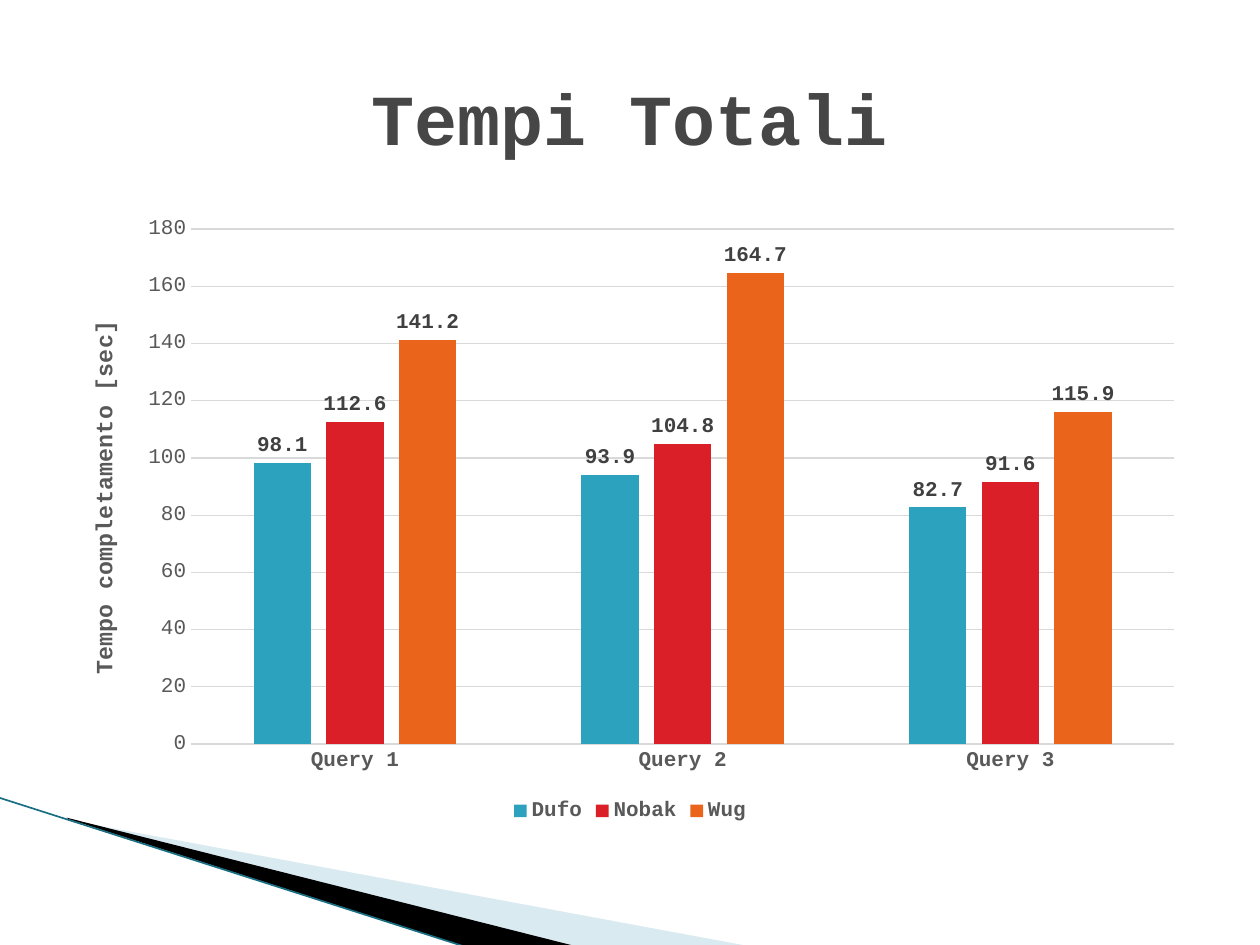
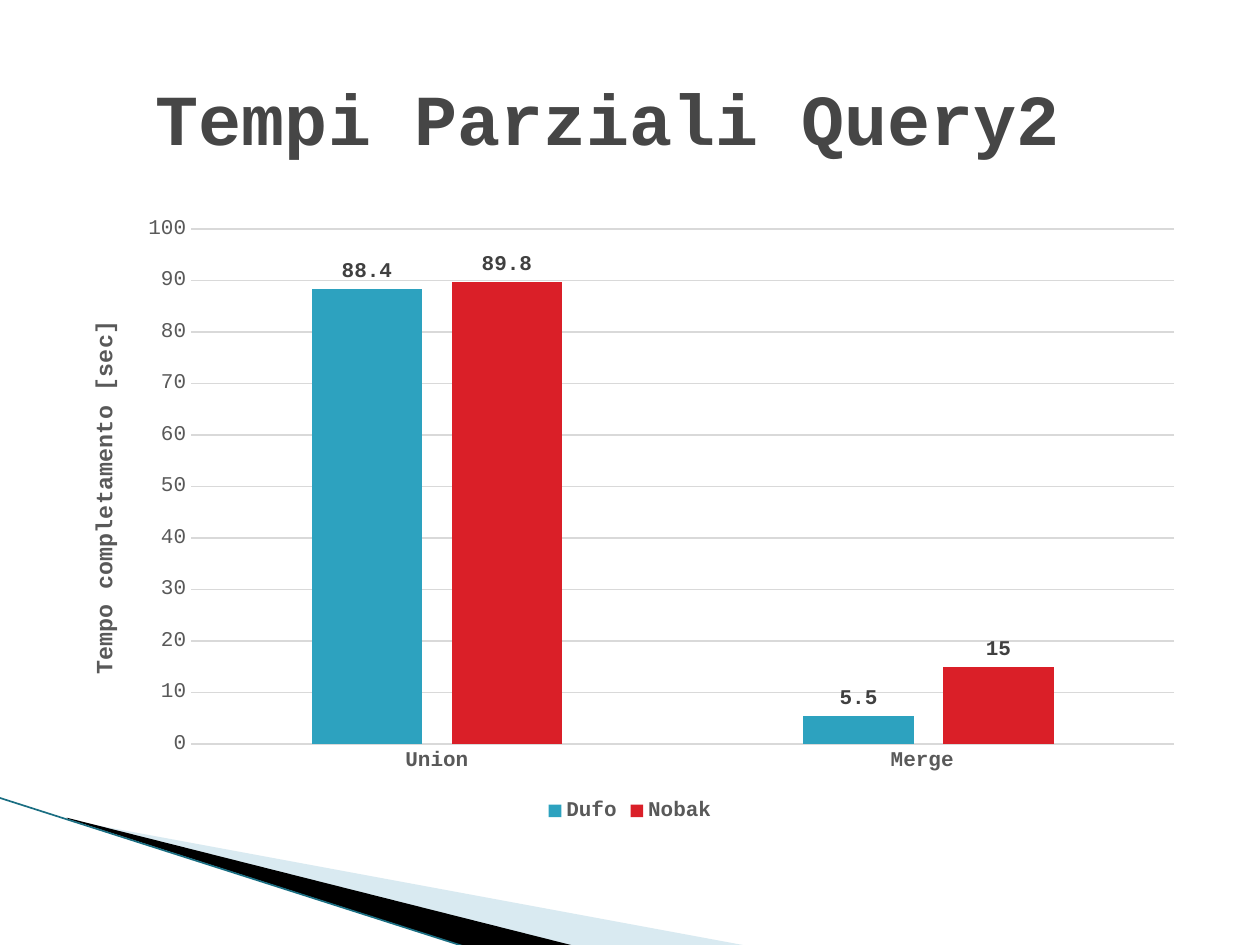
from lxml import etree
from pptx import Presentation
from pptx.chart.data import CategoryChartData
from pptx.dml.color import RGBColor
from pptx.enum.chart import XL_CHART_TYPE, XL_LABEL_POSITION, XL_LEGEND_POSITION, XL_TICK_MARK
from pptx.enum.shapes import MSO_CONNECTOR
from pptx.enum.text import MSO_ANCHOR, PP_ALIGN
from pptx.oxml.ns import qn
from pptx.util import Inches, Pt

COLUMN = XL_CHART_TYPE.COLUMN_CLUSTERED
OUTSIDE = XL_LABEL_POSITION.OUTSIDE_END
BOTTOM = XL_LEGEND_POSITION.BOTTOM
NONE = XL_TICK_MARK.NONE
STRAIGHT = MSO_CONNECTOR.STRAIGHT
MIDDLE = MSO_ANCHOR.MIDDLE
CENTER = PP_ALIGN.CENTER

FACE = "Courier New"
INK, GREY, DARK, RULE = "464646", "595959", "404040", "D9D9D9"
PALE, BLACK, EDGE = "A0CBDC", "000000", "1A6E82"
BARS = ["2DA2BF", "DA1F28", "EB641B"]

# Swoosh wedges in the lower left corner: points in inches, colour, opacity
WEDGES = [
    ([(0.55, 6.51), (5.95, 7.51), (4.56, 7.51), (0.55, 6.5)], PALE, 40),
    ([(0.53, 6.49), (4.57, 7.51), (3.72, 7.52), (0.54, 6.5)], BLACK, 100),
]

# Title, categories, series, axis top, axis step
PAGES = [
    ("Tempi Totali", ["Query 1", "Query 2", "Query 3"],
     {"Dufo": [98.1, 93.9, 82.7], "Nobak": [112.6, 104.8, 91.6],
      "Wug": [141.2, 164.7, 115.9]}, 180, 20),
    ("Tempi Parziali Query2 ", ["Union", "Merge "],
     {"Dufo": [88.4, 5.5], "Nobak": [89.8, 15]}, 100, 10),
]


def style(font, size, color, bold=False):
    font.name, font.size, font.bold = FACE, Pt(size), bold
    font.color.rgb = RGBColor.from_string(color)


def place(layout, **spots):
    """Fix a chart part at shares of the chart's size."""
    box = etree.SubElement(layout, qn("c:manualLayout"))
    if "w" in spots:
        etree.SubElement(box, qn("c:layoutTarget")).set("val", "inner")
    for key in "xy":
        etree.SubElement(box, qn(f"c:{key}Mode")).set("val", "edge")
    for key, share in spots.items():
        etree.SubElement(box, qn(f"c:{key}")).set("val", str(share))


prs = Presentation()
prs.slide_width, prs.slide_height = Inches(10), Inches(7.5)
left, wide = int(prs.slide_width * 0.05), int(prs.slide_width * 0.9)

for name, cats, rows, top, step in PAGES:
    slide = prs.slides.add_slide(prs.slide_layouts[6])
    shapes = slide.shapes

    # Swoosh
    for points, color, alpha in WEDGES:
        first, *rest = [(Inches(x), Inches(y)) for x, y in points]
        pen = shapes.build_freeform(*first)
        pen.add_line_segments(rest)
        wedge = pen.convert_to_shape()
        wedge.shadow.inherit = False
        wedge.fill.solid()
        wedge.fill.fore_color.rgb = RGBColor.from_string(color)
        wedge.line.fill.background()
        if alpha < 100:
            tint = wedge.fill._xPr.find(".//" + qn("a:srgbClr"))
            etree.SubElement(tint, qn("a:alpha")).set("val", str(alpha * 1000))
    edge = shapes.add_connector(STRAIGHT, Inches(-0.01), Inches(6.33),
                                Inches(3.71), Inches(7.52))
    edge.line.color.rgb = RGBColor.from_string(EDGE)
    edge.line.width = Pt(0.95)
    etree.SubElement(edge._element.spPr, qn("a:effectLst"))

    # Chart
    data = CategoryChartData()
    data.categories = cats
    for label, vals in rows.items():
        data.add_series(label, vals)
    chart = shapes.add_chart(COLUMN, left, Inches(1.62), wide,
                             Inches(4.95), data).chart
    style(chart.font, 10, BLACK)
    chart.has_title = False
    chart.has_legend = True
    chart.legend.position = BOTTOM
    chart.legend.include_in_layout = False
    style(chart.legend.font, 12, GREY, True)

    # Bars and their values
    plot = chart.plots[0]
    plot.gap_width, plot.overlap = 219, -27
    plot.vary_by_categories = False
    for bar, color in zip(plot.series, BARS):
        bar.format.fill.solid()
        bar.format.fill.fore_color.rgb = RGBColor.from_string(color)
        bar.invert_if_negative = False
        marks = bar.data_labels
        marks.show_value = True
        marks.position = OUTSIDE
        style(marks.font, 12, DARK, True)

    # Axes
    base, scale = chart.category_axis, chart.value_axis
    for axis in (base, scale):
        axis.major_tick_mark = axis.minor_tick_mark = NONE
        style(axis.tick_labels.font, 12, GREY, axis is base)
    scale.minimum_scale, scale.maximum_scale = 0, top
    scale.major_unit = step
    scale.format.line.fill.background()
    for line in (base.format.line, scale.major_gridlines.format.line):
        line.color.rgb = RGBColor.from_string(RULE)
        line.width = Pt(0.75)

    # Upright axis title
    frame = scale.axis_title.text_frame
    run = frame.paragraphs[0].add_run()
    run.text = "Tempo completamento [sec]"
    style(run.font, 13.3, GREY, True)
    turn = frame._txBody.find(qn("a:bodyPr"))
    turn.set("rot", "-5400000")
    turn.set("vert", "horz")
    place(scale.axis_title._element.find(qn("c:layout")), x=0.02, y=0.18)

    # Plot area
    area = chart._chartSpace.find(".//" + qn("c:plotArea"))
    spot = area.find(qn("c:layout"))
    if spot is None:
        spot = etree.Element(qn("c:layout"))
        area.insert(0, spot)
    place(spot, x=0.113, y=0.04, w=0.867, h=0.826)

    # Title
    box = shapes.add_textbox(left, int(prs.slide_height * 0.04), wide, Inches(1.25))
    frame = box.text_frame
    frame.word_wrap = True
    frame.vertical_anchor = MIDDLE
    para = frame.paragraphs[0]
    para.alignment = CENTER
    run = para.add_run()
    run.text = name
    style(run.font, 41, INK, True)

prs.save("out.pptx")
